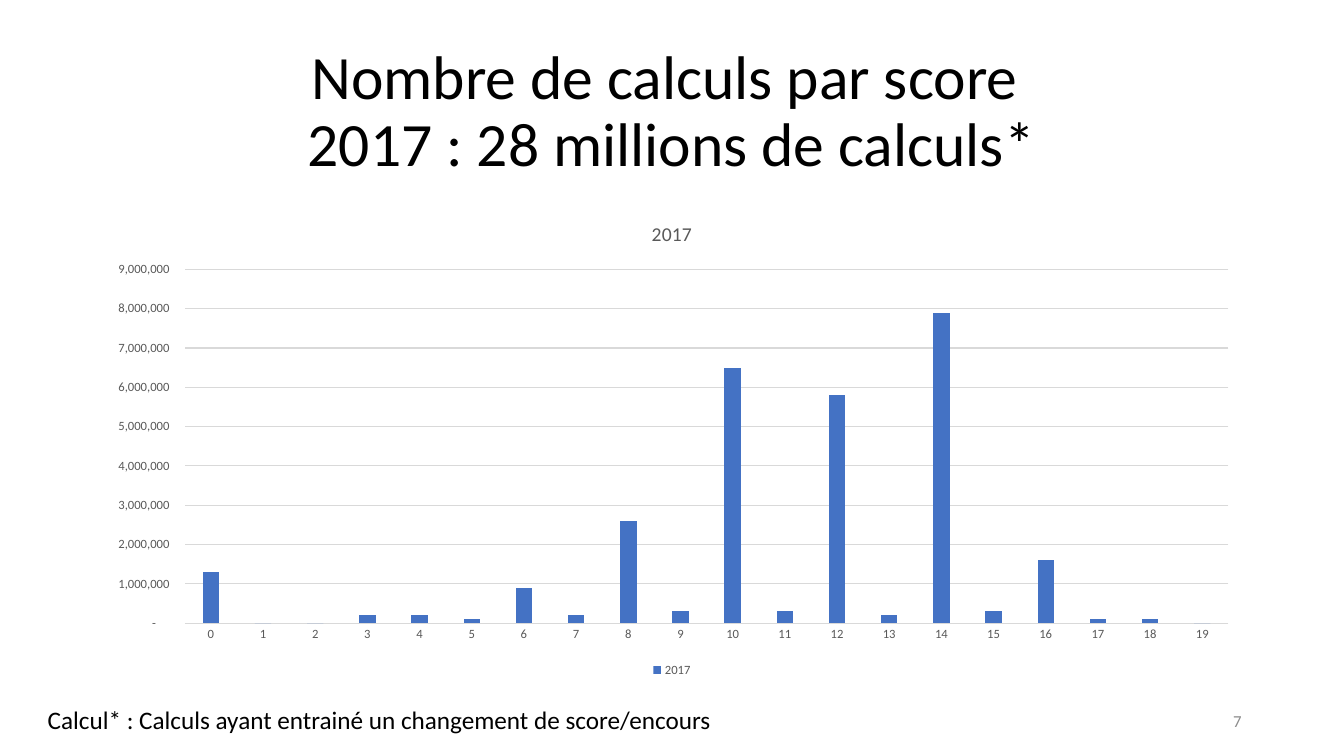
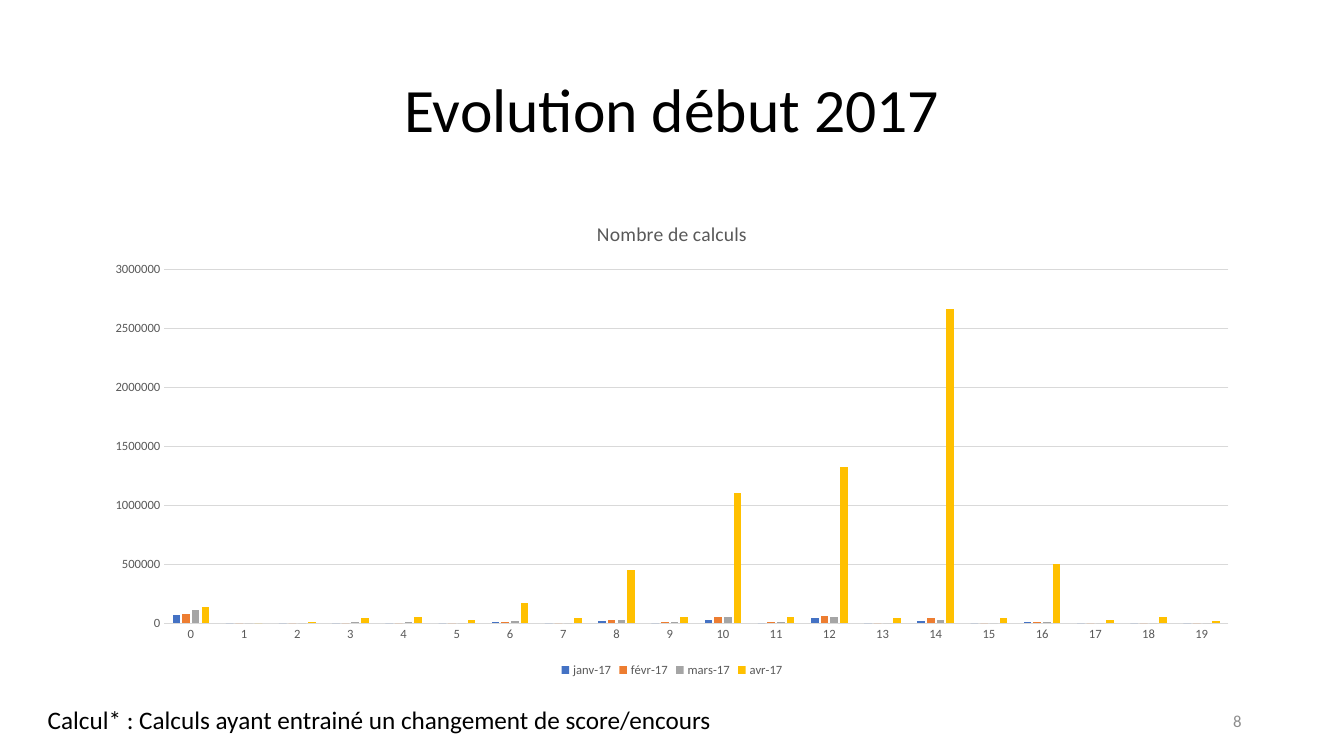
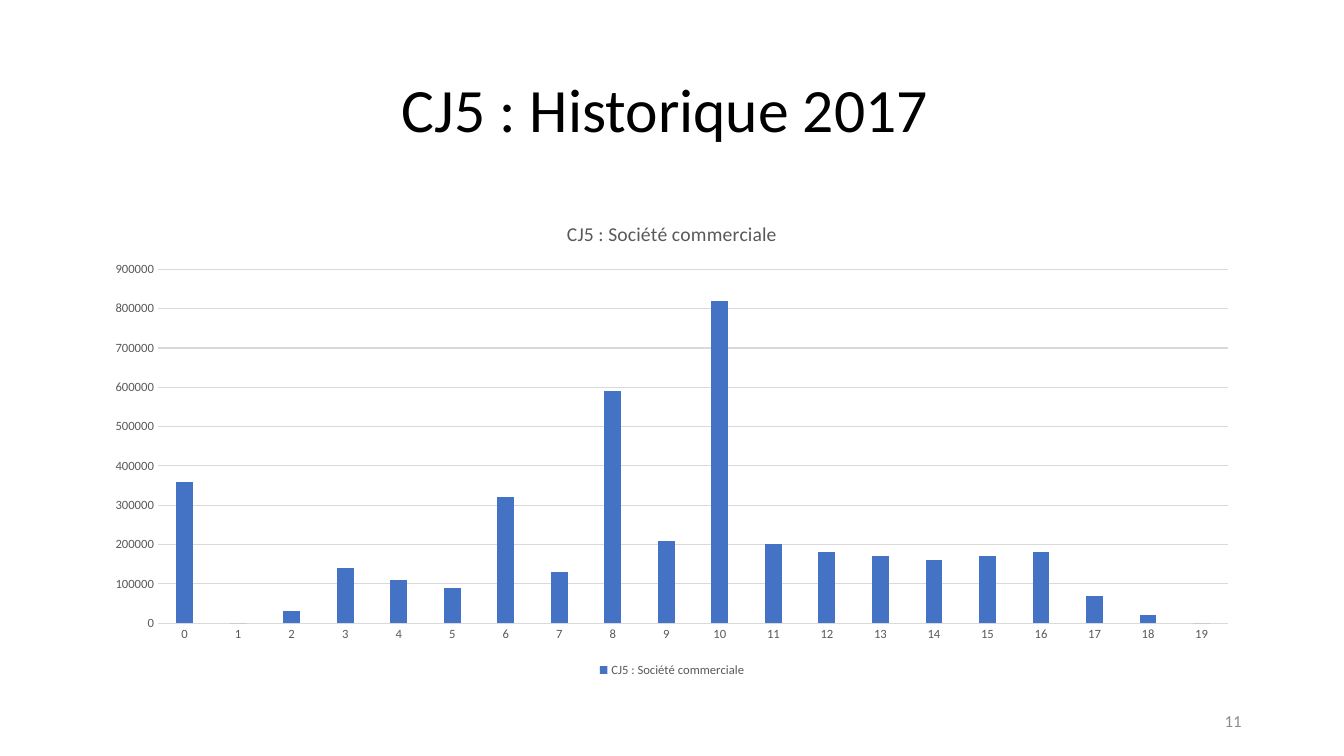
from pptx import Presentation
from pptx.chart.data import CategoryChartData
from pptx.dml.color import RGBColor
from pptx.enum.chart import XL_CHART_TYPE, XL_LEGEND_POSITION, XL_TICK_MARK
from pptx.enum.text import MSO_ANCHOR, PP_ALIGN
from pptx.util import Emu, Pt

COLUMNS = XL_CHART_TYPE.COLUMN_CLUSTERED
BOTTOM = XL_LEGEND_POSITION.BOTTOM
NO_TICK = XL_TICK_MARK.NONE
LEFT, CENTER, RIGHT = PP_ALIGN.LEFT, PP_ALIGN.CENTER, PP_ALIGN.RIGHT
TOP, MIDDLE = MSO_ANCHOR.TOP, MSO_ANCHOR.MIDDLE

EMU_PER_PX = 9525
FONT = "Calibri"
BLACK, GREY, LIGHT, NUMBER_GREY = "000000", "595959", "D9D9D9", "8C8C8C"
SERIES_COLORS = ["4472C4", "ED7D31", "A5A5A5", "FFC000"]
SCORES = [str(n) for n in range(20)]
EURO_FORMAT = r'_-* #,##0\ _€_-;\-* #,##0\ _€_-;_-* "-"??\ _€_-;_-@_-'
NOTE = "Calcul* : Calculs ayant entrainé un changement de score/encours"


def px(*lengths):
    return [Emu(n * EMU_PER_PX) for n in lengths]


def rgb(code):
    return RGBColor.from_string(code)


def style_font(font, size, color):
    font.name, font.size, font.bold = FONT, Pt(size), False
    font.color.rgb = rgb(color)


def write(tf, text, size=18, color=BLACK, align=LEFT, anchor=TOP, spacing=1.0):
    tf.word_wrap = True
    tf.vertical_anchor = anchor
    p = tf.paragraphs[0]
    p.text = text
    p.alignment = align
    p.line_spacing = spacing
    for r in p.runs:
        style_font(r.font, size, color)


class Deck:
    def __init__(self):
        self.prs = Presentation()
        self.prs.slide_width, self.prs.slide_height = px(1280, 720)
        self.s = None

    def slide(self, title, number):
        self.s = self.prs.slides.add_slide(self.prs.slide_layouts[5])
        sp = self.s.shapes.title
        sp.left, sp.top, sp.width, sp.height = px(88, 38, 1104, 139)
        write(sp.text_frame, title, size=44, align=CENTER, anchor=MIDDLE, spacing=0.9)
        self.text(str(number), 904, 667, 288, 38, size=12, color=NUMBER_GREY,
                  align=RIGHT, anchor=MIDDLE)

    def text(self, text, x, y, w, h, **style):
        sp = self.s.shapes.add_textbox(*px(x, y, w, h))
        write(sp.text_frame, text, **style)

    def note(self):
        self.text(NOTE, 36, 666, 734, 38)

    def chart(self, title, series, top, step, number_format="General"):
        """Draw one column per score; series values are in thousands."""
        data = CategoryChartData(number_format=number_format)
        data.categories = SCORES
        for name, thousands in series.items():
            data.add_series(name, [n * 1000 for n in thousands])
        chart = self.s.shapes.add_chart(COLUMNS, *px(88, 192, 1104, 457), data).chart
        style_font(chart.font, 10, BLACK)

        # Title and legend
        write(chart.chart_title.text_frame, title, size=14, color=GREY, align=CENTER)
        chart.chart_title.include_in_layout = False
        chart.has_legend = True
        chart.legend.position = BOTTOM
        chart.legend.include_in_layout = False
        style_font(chart.legend.font, 9, GREY)

        # Axes
        cat, val = chart.category_axis, chart.value_axis
        for axis in (cat, val):
            axis.major_tick_mark = axis.minor_tick_mark = NO_TICK
            style_font(axis.tick_labels.font, 9, GREY)
        val.minimum_scale, val.maximum_scale, val.major_unit = 0, top, step
        val.tick_labels.number_format = number_format
        val.tick_labels.number_format_is_linked = False
        val.format.line.fill.background()
        for line in (cat.format.line, val.major_gridlines.format.line):
            line.width = Pt(0.75)
            line.color.rgb = rgb(LIGHT)

        # Columns
        plot = chart.plots[0]
        plot.gap_width, plot.overlap, plot.vary_by_categories = 219, -27, False
        for ser, color in zip(plot.series, SERIES_COLORS):
            ser.invert_if_negative = False
            ser.format.fill.solid()
            ser.format.fill.fore_color.rgb = rgb(color)


def main():
    deck = Deck()

    # Calculations per score
    deck.slide("Nombre de calculs par score \v2017 : 28 millions de calculs*", 7)
    deck.chart("2017", {
        "2017": [1300, 0, 0, 200, 200, 100, 900, 200, 2600, 300,
                 6500, 300, 5800, 200, 7900, 300, 1600, 100, 100, 0],
    }, 9000000, 1000000, EURO_FORMAT)
    deck.note()

    # Early 2017 by month
    deck.slide("Evolution début 2017", 8)
    deck.chart("Nombre de calculs", {
        "janv-17": [70, 0, 0, 0, 0, 0, 10, 0, 20, 0,
                    30, 0, 40, 0, 20, 0, 10, 0, 0, 0],
        "févr-17": [80, 0, 0, 0, 0, 0, 10, 0, 30, 10,
                    50, 10, 60, 0, 40, 0, 10, 0, 0, 0],
        "mars-17": [110, 0, 0, 10, 10, 0, 20, 0, 30, 10,
                    50, 10, 50, 0, 30, 0, 10, 0, 0, 0],
        "avr-17": [140, 0, 10, 40, 50, 30, 170, 40, 450, 50,
                   1100, 50, 1320, 40, 2660, 40, 500, 30, 50, 20],
    }, 3000000, 500000)
    deck.note()

    # Commercial companies
    deck.slide("CJ5 : Historique 2017 ", 11)
    deck.chart("CJ5 : Société commerciale", {
        "CJ5 : Société commerciale": [
            360, 0, 30, 140, 110, 90, 320, 130, 590, 210,
            820, 200, 180, 170, 160, 170, 180, 70, 20, 0],
    }, 900000, 100000)

    deck.prs.save("out.pptx")


if __name__ == "__main__":
    main()
